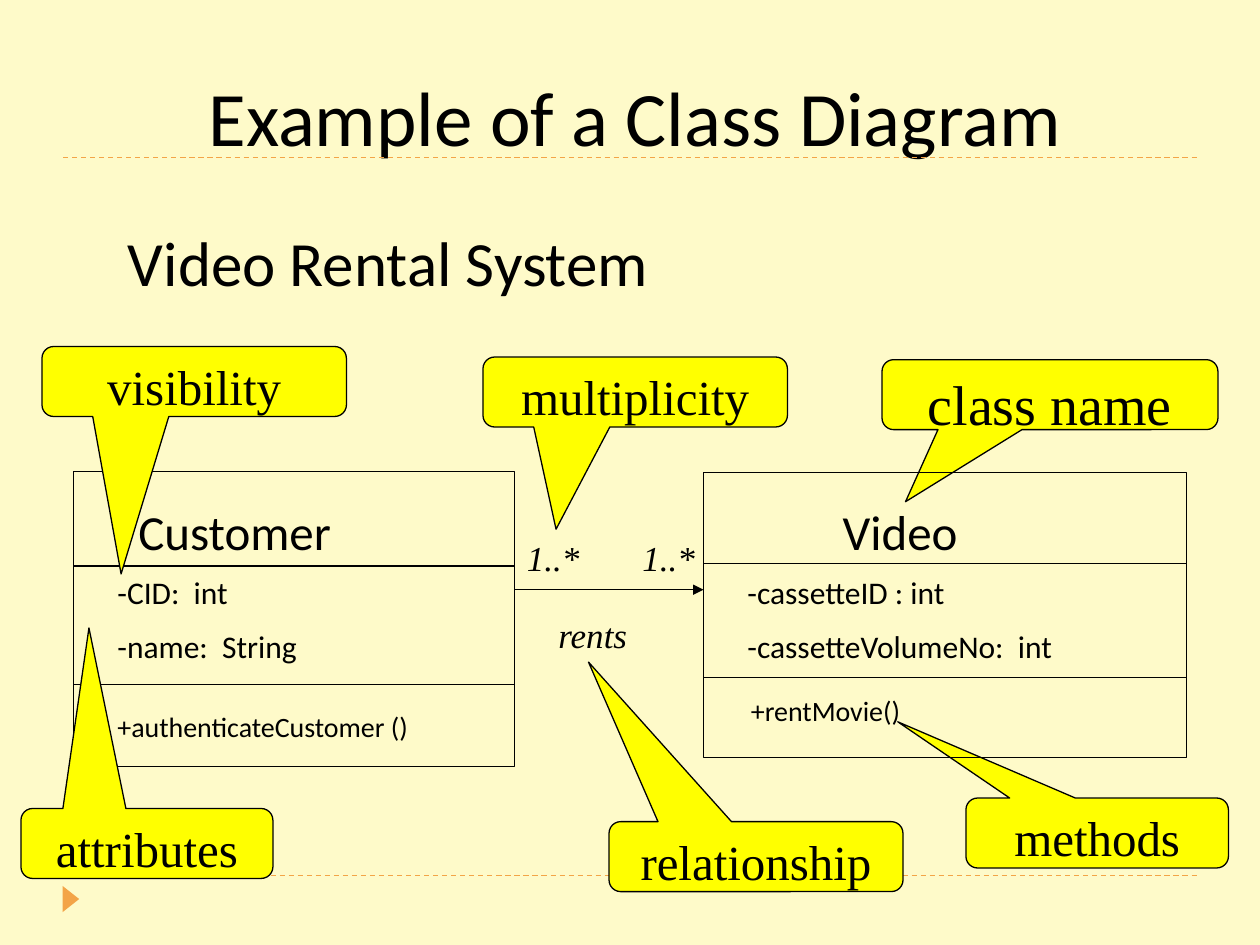
from dataclasses import dataclass

from pptx import Presentation
from pptx.dml.color import RGBColor
from pptx.enum.dml import MSO_LINE
from pptx.enum.shapes import MSO_CONNECTOR, MSO_SHAPE
from pptx.enum.text import MSO_ANCHOR, MSO_AUTO_SIZE, PP_ALIGN
from pptx.oxml.ns import qn
from pptx.util import Pt
from lxml.etree import SubElement


@dataclass(frozen=True)
class Theme:
    background: RGBColor = RGBColor(0xFE, 0xFA, 0xC9)
    accent: RGBColor = RGBColor(0xF3, 0xA4, 0x47)
    callout: RGBColor = RGBColor(0xFF, 0xFF, 0x00)
    ink: RGBColor = RGBColor(0, 0, 0)
    body_font: str = "Calibri"
    note_font: str = "Times New Roman"
    title_size: int = 44
    subtitle_size: int = 36
    large_note_size: int = 32
    heading_size: int = 28
    association_size: int = 20
    attribute_size: int = 18
    method_size: int = 16
    line_width: float = 0.75


class DiagramSlide:
    def __init__(self, presentation, theme):
        self.theme = theme
        self.slide = presentation.slides.add_slide(presentation.slide_layouts[5])
        fill = self.slide.background.fill
        fill.solid()
        fill.fore_color.rgb = theme.background

    def fill_text(self, frame, lines, size, font, align=PP_ALIGN.LEFT, italic=False):
        frame.word_wrap = True
        frame.auto_size = MSO_AUTO_SIZE.NONE
        frame.vertical_anchor = MSO_ANCHOR.TOP
        for index, line in enumerate(lines):
            paragraph = frame.add_paragraph() if index else frame.paragraphs[0]
            paragraph.alignment = align
            if index:
                paragraph.space_before = Pt(size / 2)
            run = paragraph.add_run()
            run.text = line
            run.font.name = font
            run.font.size = Pt(size)
            run.font.italic = italic
            run.font.color.rgb = self.theme.ink

    def title(self, text, left, top, width, height):
        title = self.slide.shapes.title
        title.left, title.top = Pt(left), Pt(top)
        title.width, title.height = Pt(width), Pt(height)
        self.fill_text(title.text_frame, [text], self.theme.title_size,
                       self.theme.body_font, PP_ALIGN.CENTER)

    def text(self, lines, left, top, width, height, size, font=None, italic=False):
        box = self.slide.shapes.add_textbox(Pt(left), Pt(top), Pt(width), Pt(height))
        self.fill_text(box.text_frame, lines, size, font or self.theme.body_font,
                       italic=italic)

    def association_label(self, text, left, top, width, height):
        self.text([text], left, top, width, height, self.theme.association_size,
                  self.theme.note_font, italic=True)

    def shape(self, kind, left, top, width, height, fill=None, line=None):
        shape = self.slide.shapes.add_shape(kind, Pt(left), Pt(top), Pt(width), Pt(height))
        shape.shadow.inherit = False
        if fill is None:
            shape.fill.background()
        else:
            shape.fill.solid()
            shape.fill.fore_color.rgb = fill
        if line is None:
            shape.line.fill.background()
        else:
            shape.line.color.rgb = line
            shape.line.width = Pt(self.theme.line_width)
        return shape

    def line(self, start, end, color=None, dashed=False, arrow=False):
        connector = self.slide.shapes.add_connector(
            MSO_CONNECTOR.STRAIGHT, *(Pt(value) for value in (*start, *end)))
        connector.line.color.rgb = color or self.theme.ink
        connector.line.width = Pt(self.theme.line_width)
        if dashed:
            connector.line.dash_style = MSO_LINE.DASH
        properties = connector._element.spPr
        if arrow:
            SubElement(properties.find(qn("a:ln")), qn("a:tailEnd"), type="triangle")
        SubElement(properties, qn("a:effectLst"))

    def callout(self, text, left, top, width, pointer, size=None):
        """Pointer is the tip's offset from the centre, as shares of width and height."""
        shape = self.shape(MSO_SHAPE.ROUNDED_RECTANGULAR_CALLOUT, left, top, width, 40,
                           self.theme.callout, self.theme.ink)
        shape.adjustments[0], shape.adjustments[1] = pointer
        self.fill_text(shape.text_frame, [text], size or self.theme.heading_size,
                       self.theme.note_font, PP_ALIGN.CENTER)

    def class_frame(self, left, top, width, height, dividers):
        self.shape(MSO_SHAPE.RECTANGLE, left, top, width, height, line=self.theme.ink)
        for y in dividers:
            self.line((left, y), (left + width, y))


def main():
    presentation = Presentation()
    presentation.slide_width, presentation.slide_height = Pt(720), Pt(540)
    theme = Theme()
    diagram = DiagramSlide(presentation, theme)

    for y in (500.5, 90):
        diagram.line((36, y), (684, y), theme.accent, dashed=True)
    marker = diagram.shape(MSO_SHAPE.ISOSCELES_TRIANGLE, 33, 509, 15, 9.5, theme.accent)
    marker.rotation = 90
    diagram.title("Example of a Class Diagram", 42, 36, 642, 60)
    diagram.text(["Video Rental System"], 66, 124, 378, 50, theme.subtitle_size)

    # These two callouts lie behind the Video class
    diagram.callout("methods", 552, 456, 150, (-0.76, -1.59))
    diagram.callout("class name", 504, 205.5, 192, (-0.43, 1.53), theme.large_note_size)

    diagram.class_frame(402, 270, 276, 163, (322, 387))
    diagram.text(["Video"], 474.5, 283, 124, 41, theme.heading_size)
    diagram.text(["-cassetteID : int", "-cassetteVolumeNo:  int"],
                 420, 324, 246, 61, theme.attribute_size)
    diagram.text(["+rentMovie()"], 422, 392.5, 132, 27, theme.method_size)

    diagram.class_frame(42, 269.5, 252, 168.5, (323.5, 391))
    diagram.text(["Customer"], 72, 283, 186, 41, theme.heading_size)
    diagram.text(["-CID:  int", "-name:  String"], 60, 324, 228, 94, theme.attribute_size)
    diagram.text(["+authenticateCustomer ()"], 60, 402, 204, 27, theme.method_size)

    diagram.line((294, 337), (402, 337), arrow=True)
    diagram.association_label("rents", 312, 347, 72, 31)
    for left in (294, 360):
        diagram.association_label("1..*", left, 303, 48, 30)

    for text, left, top, width, pointer in (
        ("relationship", 348, 469.5, 168, (-0.57, -2.78)),
        ("multiplicity", 276, 204, 174, (-0.26, 1.96)),
        ("visibility", 24, 198, 174, (-0.24, 2.75)),
        ("attributes", 12, 462, 144, (-0.23, -3.08)),
    ):
        diagram.callout(text, left, top, width, pointer)

    presentation.save("out.pptx")


if __name__ == "__main__":
    main()
